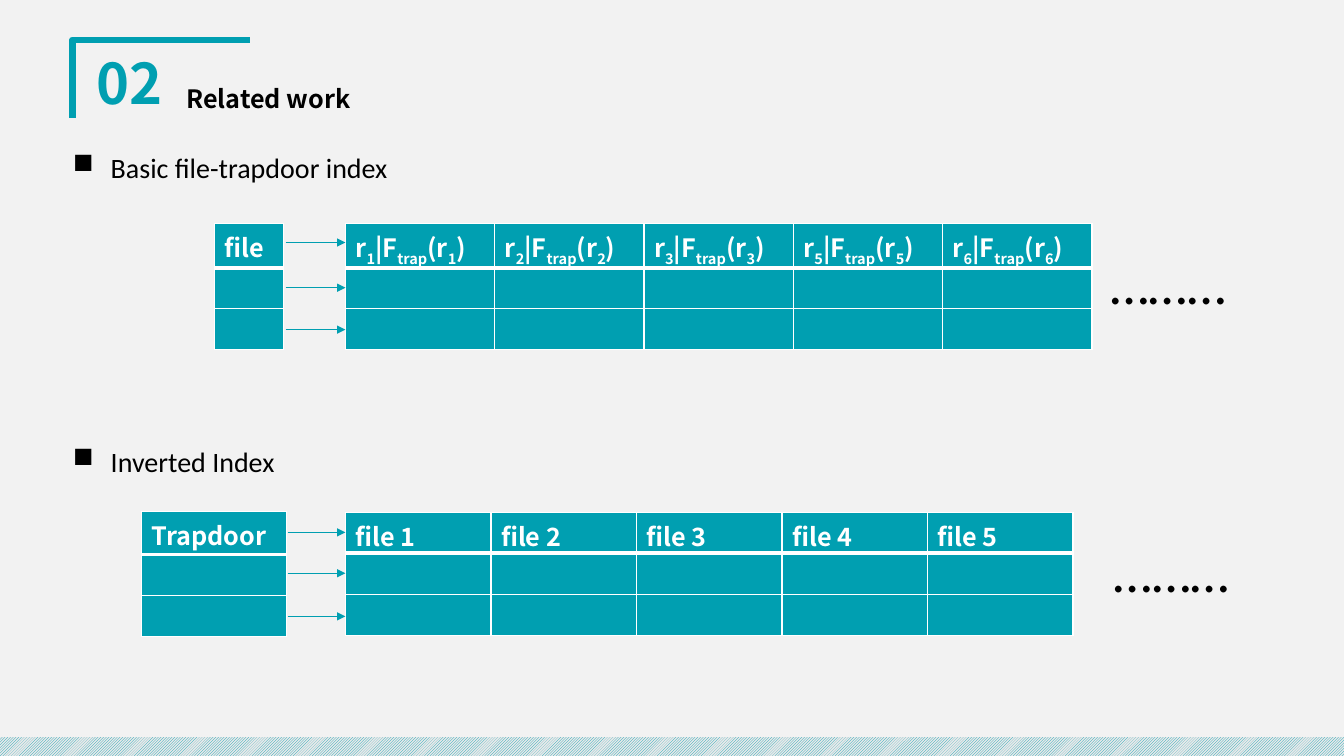
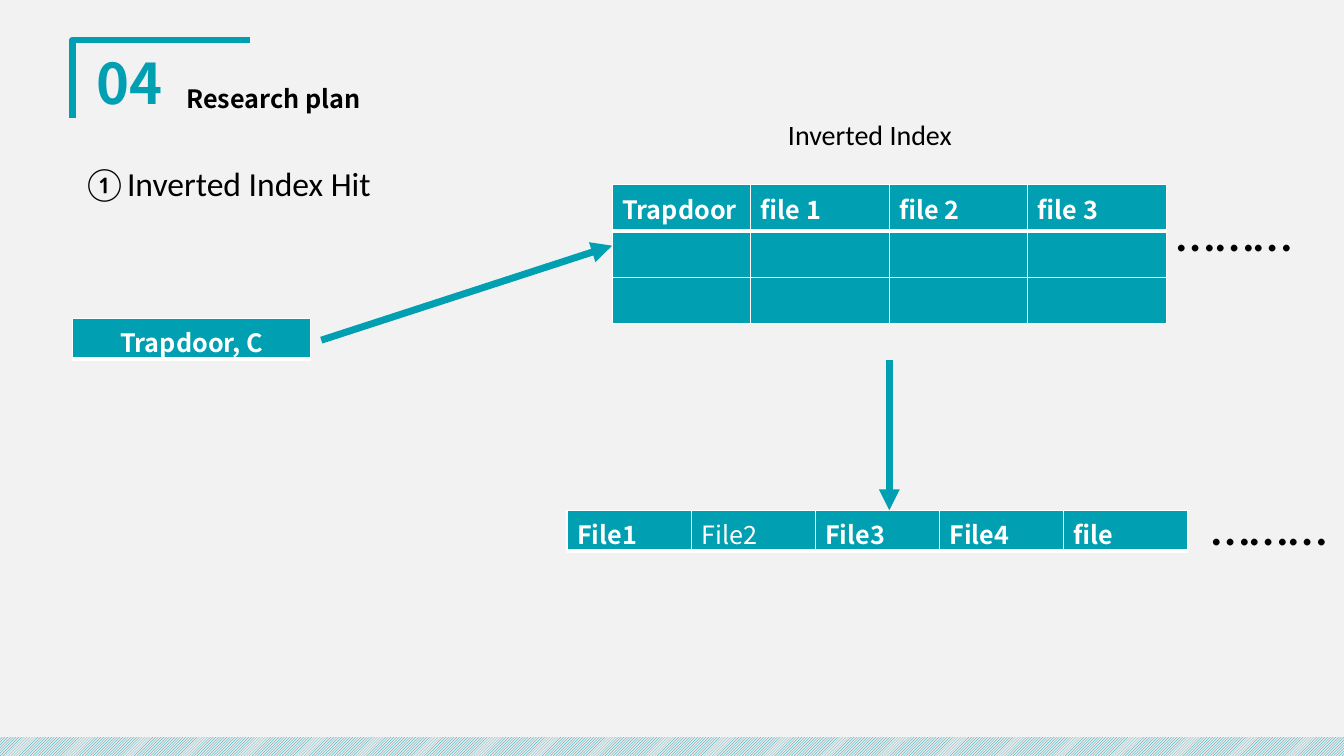
from lxml.etree import SubElement
from pptx import Presentation
from pptx.dml.color import RGBColor
from pptx.enum.dml import MSO_PATTERN
from pptx.enum.shapes import MSO_CONNECTOR, MSO_SHAPE
from pptx.enum.text import MSO_ANCHOR, PP_ALIGN
from pptx.oxml.ns import qn
from pptx.util import Emu, Pt

TEAL = RGBColor(0x00, 0x9F, 0xB1)
WHITE = RGBColor(0xFF, 0xFF, 0xFF)
BLACK = RGBColor(0x00, 0x00, 0x00)
PAPER = RGBColor(0xF2, 0xF2, 0xF2)
BAND_GREY = RGBColor(0xE9, 0xE9, 0xE9)
HEAD_FONT = "Noto Sans CJK SC"
BODY_FONT = "Calibri"
EMU_PER_PX = 9525
WIDTH, HEIGHT = 1280, 720


def px(*lengths):
    return [Emu(length * EMU_PER_PX) for length in lengths]


def write(para, text, size=18, font=BODY_FONT, color=BLACK, bold=False,
          align=None, spacing=None):
    """Fill a paragraph; parts between underscores become subscripts."""
    para.alignment = align
    if spacing:
        para.line_spacing = spacing
    for index, part in enumerate(text.split("_")):
        if not part:
            continue
        span = para.add_run()
        span.text = part
        span.font.size = Pt(size)
        span.font.name = font
        span.font.bold = bold
        span.font.color.rgb = color
        if index % 2:
            span._r.get_or_add_rPr().set("baseline", "-25000")


def set_borders(cell, **widths):
    """Draw white cell edges; L, R, T and B give the widths in points."""
    properties = cell._tc.get_or_add_tcPr()
    for side, points in widths.items():
        edge = SubElement(properties, qn(f"a:ln{side}"), w=str(Pt(points)))
        fill = SubElement(edge, qn("a:solidFill"))
        SubElement(fill, qn("a:srgbClr"), val=str(WHITE))


class Deck:
    def __init__(self):
        self.file = Presentation()
        self.file.slide_width, self.file.slide_height = px(WIDTH, HEIGHT)
        background = self.file.slide_master.background.fill
        background.solid()
        background.fore_color.rgb = PAPER
        self.page = None

    def add_page(self, number, title):
        self.page = self.file.slides.add_slide(self.file.slide_layouts[6])
        self.bracket()
        self.band()
        head = dict(font=HEAD_FONT, bold=True, spacing=0.9, anchor=MSO_ANCHOR.MIDDLE)
        self.text(79, 47, 89, 70, number, size=40, color=TEAL,
                  align=PP_ALIGN.CENTER, **head)
        self.text(168, 75, 256, 42, title, **head)

    def bracket(self):
        builder = self.page.shapes.build_freeform(69, 112, scale=EMU_PER_PX)
        builder.add_line_segments([(69, 38), (238, 38)], close=False)
        corner = builder.convert_to_shape()
        corner.shadow.inherit = False
        corner.fill.background()
        corner.line.color.rgb = TEAL
        corner.line.width = Pt(4.5)

    def band(self):
        strip = self.page.shapes.add_shape(
            MSO_SHAPE.RECTANGLE, *px(0, 702, WIDTH, HEIGHT - 702))
        strip.shadow.inherit = False
        strip.line.fill.background()
        strip.fill.patterned()
        strip.fill.pattern = MSO_PATTERN.LIGHT_UPWARD_DIAGONAL
        strip.fill.fore_color.rgb = TEAL
        strip.fill.back_color.rgb = BAND_GREY

    def text(self, left, top, width, height, text, anchor=MSO_ANCHOR.TOP,
             spacing=1.3, **style):
        box = self.page.shapes.add_textbox(*px(left, top, width, height))
        box.text_frame.word_wrap = True
        box.text_frame.vertical_anchor = anchor
        para = box.text_frame.paragraphs[0]
        write(para, text, spacing=spacing, **style)
        return para

    def bullet(self, top, text):
        para = self.text(60, top, 1144, 48, text, size=20)
        properties = para._p.get_or_add_pPr()
        indent = px(36)[0]
        properties.set("marL", str(indent))
        properties.set("indent", str(-indent))
        SubElement(properties, qn("a:buChar"), char="■")

    def dots(self, left, top):
        self.text(left, top, 136, 87, "………", size=40)

    def table(self, left, top, width, row_heights, header, plain=(), align=None):
        """Add a teal table of equal columns; headers in plain are not bold."""
        frame = self.page.shapes.add_table(
            len(row_heights), len(header),
            *px(left, top, width, sum(row_heights)))
        table = frame.table
        table.horz_banding = False
        for column in table.columns:
            column.width = Emu(px(width)[0] // len(header))
        for index, (row, height) in enumerate(zip(table.rows, row_heights)):
            row.height = px(height)[0]
            for cell in row.cells:
                set_borders(cell, L=1, R=1, T=3 if index == 1 else 1,
                            B=3 if index == 0 else 1)
                cell.fill.solid()
                cell.fill.fore_color.rgb = TEAL
                cell.margin_bottom = 0
        for cell, label in zip(table.rows[0].cells, header):
            write(cell.text_frame.paragraphs[0], label, font=HEAD_FONT,
                  color=WHITE, bold=label not in plain, align=align)

    def arrow(self, start, end, width=0.5):
        line = self.page.shapes.add_connector(
            MSO_CONNECTOR.STRAIGHT, *px(*start, *end))
        line.line.color.rgb = TEAL
        line.line.width = Pt(width)
        SubElement(line.line._get_or_add_ln(), qn("a:tailEnd"), type="triangle")
        SubElement(line._element.spPr, qn("a:effectLst"))

    def row_arrows(self, left, right, tops):
        for top in tops:
            self.arrow((left, top), (right, top))


def related_work(deck):
    deck.add_page("02", "Related work")
    deck.bullet(129, "Basic file-trapdoor index")
    deck.table(204, 213, 66, [42, 39, 39], ["file"])
    deck.table(329, 213, 711, [42, 39, 39],
               [f"r_{n}_|F_trap_(r_{n}_)" for n in (1, 2, 3, 5, 6)])
    deck.dots(1048, 213)
    deck.row_arrows(272, 329, [231, 274, 314])

    deck.bullet(409, "Inverted Index")
    deck.table(135, 487, 138, [41, 39, 39], ["Trapdoor"])
    deck.table(329, 488, 693, [39, 39, 39], [f"file {n}" for n in range(1, 6)])
    deck.dots(1051, 487)
    deck.row_arrows(274, 329, [507, 546, 587])


def research_plan(deck):
    deck.add_page("04", "Research plan")
    deck.text(69, 139, 342, 56, "①Inverted Index Hit", size=24)
    deck.text(741, 98, 256, 48, "Inverted Index", size=20)
    deck.table(583, 176, 528, [44, 44, 44],
               ["Trapdoor", "file 1", "file 2", "file 3"])
    deck.dots(1111, 162)
    deck.table(69, 303, 227, [39], ["Trapdoor, C"], align=PP_ALIGN.CENTER)
    deck.arrow((306, 324), (583, 234), width=5)
    deck.arrow((847, 343), (847, 486), width=5)
    deck.table(540, 486, 591, [39], ["File1", "File2", "File3", "File4", "file"],
               plain=["File2"])
    deck.dots(1144, 442)


def main():
    deck = Deck()
    related_work(deck)
    research_plan(deck)
    deck.file.save("out.pptx")


if __name__ == "__main__":
    main()
